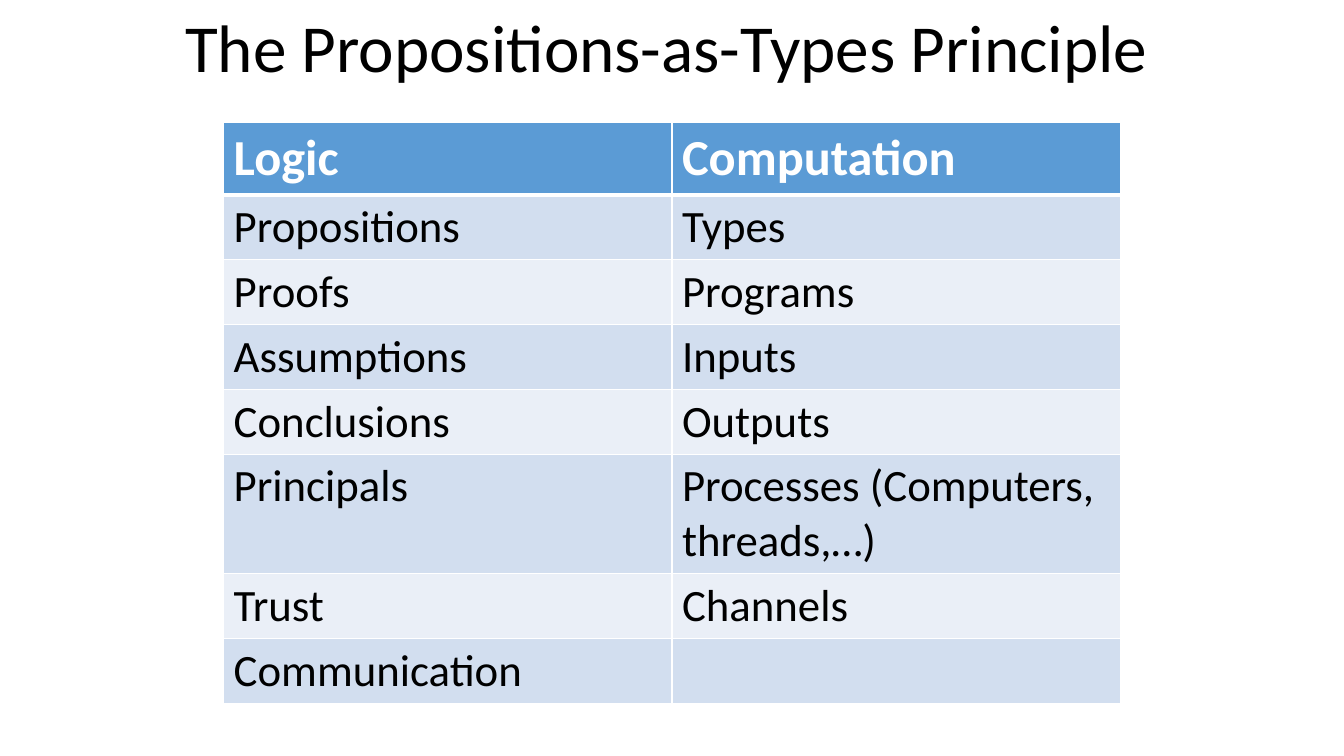
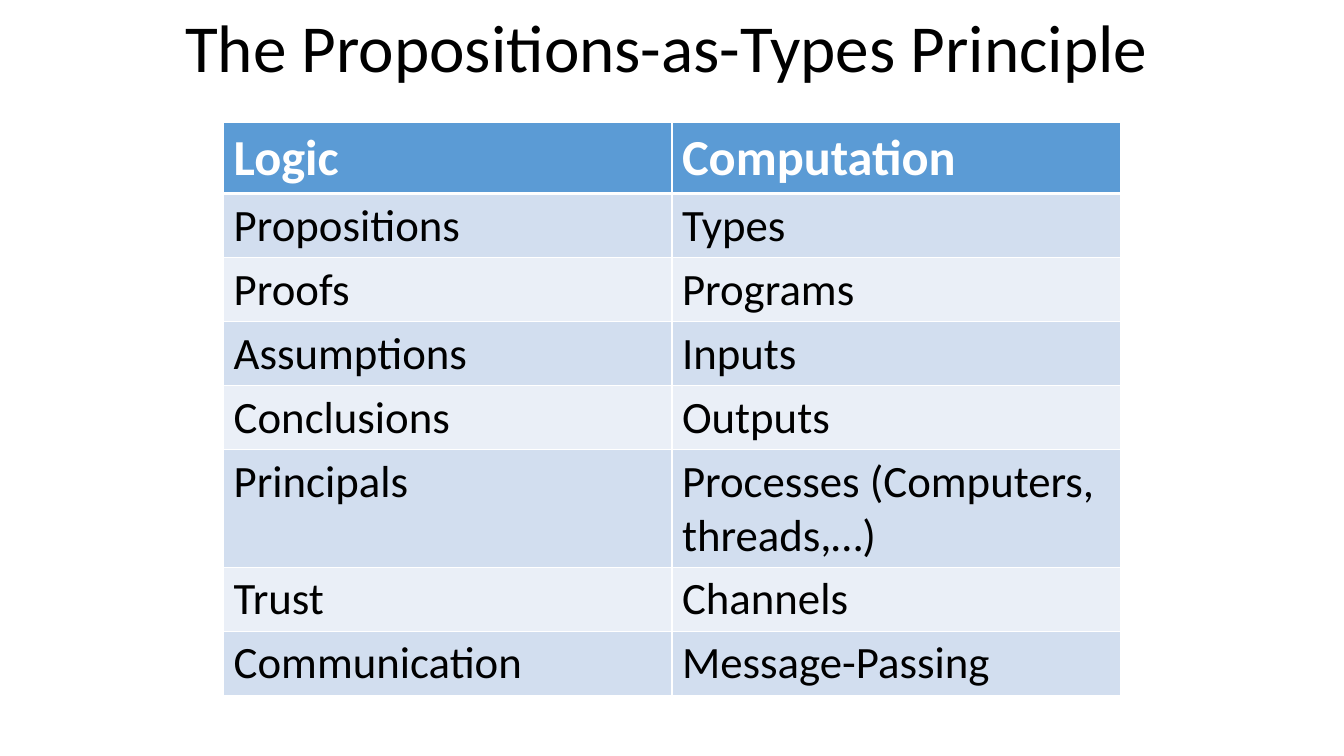
from dataclasses import dataclass

from lxml import etree
from pptx import Presentation
from pptx.dml.color import RGBColor
from pptx.enum.text import MSO_AUTO_SIZE
from pptx.oxml.ns import qn
from pptx.util import Emu, Pt

FIT_SHAPE = MSO_AUTO_SIZE.SHAPE_TO_FIT_TEXT
EMU_PER_PX = 9525
EMU_PER_POINT = 12700
BLANK_LAYOUT = 6

TITLE = "The Propositions-as-Types Principle"
HEADER = ("Logic", "Computation")
PAIRS = [
    ("Propositions", "Types"),
    ("Proofs", "Programs"),
    ("Assumptions", "Inputs"),
    ("Conclusions", "Outputs"),
    ("Principals", "Processes (Computers, threads,…)"),
    ("Trust", "Channels"),
]
COMMUNICATION_STEPS = ("", "Message-Passing")
ROW_HEIGHTS = [66, 61, 61, 61, 61, 112, 61, 61]


@dataclass(frozen=True)
class Theme:
    """Colours, font, type sizes and rule widths shared by the slides."""
    font: str = "Calibri"
    ink: str = "000000"
    white: str = "FFFFFF"
    header_fill: str = "5B9BD5"
    band_fills: tuple = ("D2DEEF", "EAEFF7")
    title_size: int = 48
    header_size: int = 36
    body_size: int = 32
    thin_rule: int = 1
    thick_rule: int = 3


def px(length):
    """Turn whole pixels into EMU."""
    return Emu(length * EMU_PER_PX)


def write_text(frame, text, *, font, size, color, bold=False):
    """Write one formatted run into a text frame."""
    run = frame.paragraphs[0].add_run()
    run.text = text
    run.font.name = font
    run.font.size = Pt(size)
    run.font.bold = bold
    run.font.color.rgb = RGBColor.from_string(color)


def set_borders(cell, color, **widths):
    """Give a cell solid borders, with widths in points by side."""
    properties = cell._tc.get_or_add_tcPr()
    for index, side in enumerate(("L", "R", "T", "B")):
        line = etree.Element(qn(f"a:ln{side}"), w=str(widths[side] * EMU_PER_POINT))
        fill = etree.SubElement(line, qn("a:solidFill"))
        etree.SubElement(fill, qn("a:srgbClr"), val=color)
        properties.insert(index, line)


class Deck:
    """Presentation with its style and current slide."""

    def __init__(self, theme, width, height):
        """Start an empty presentation of the given size."""
        self.theme = theme
        self.presentation = Presentation()
        self.presentation.slide_width = px(width)
        self.presentation.slide_height = px(height)
        self.slide = None

    def add_slide(self):
        """Make a new blank slide the current one."""
        layout = self.presentation.slide_layouts[BLANK_LAYOUT]
        self.slide = self.presentation.slides.add_slide(layout)

    def add_title(self, text, left, top, width, height):
        """Add the one-line slide title."""
        shape = self.slide.shapes.add_textbox(px(left), px(top), px(width), px(height))
        frame = shape.text_frame
        frame.word_wrap = False
        frame.auto_size = FIT_SHAPE
        write_text(frame, text, font=self.theme.font, size=self.theme.title_size,
                   color=self.theme.ink)

    def add_table(self, rows, left, top, column_width, row_heights):
        """Add a banded table whose first row is its header."""
        column_count = len(rows[0])
        shape = self.slide.shapes.add_table(
            len(rows), column_count, px(left), px(top),
            px(column_width * column_count), px(sum(row_heights)))
        table = shape.table
        table.horz_banding = False
        for column in table.columns:
            column.width = px(column_width)
        for row_index, texts in enumerate(rows):
            table.rows[row_index].height = px(row_heights[row_index])
            for column_index, text in enumerate(texts):
                self.style_cell(table.cell(row_index, column_index), text, row_index)

    def style_cell(self, cell, text, row_index):
        """Fill, rule and write one table cell."""
        theme = self.theme
        is_header = row_index == 0
        fill = theme.header_fill if is_header else theme.band_fills[(row_index - 1) % 2]
        cell.fill.solid()
        cell.fill.fore_color.rgb = RGBColor.from_string(fill)
        set_borders(cell, theme.white, L=theme.thin_rule, R=theme.thin_rule,
                    T=theme.thick_rule if row_index == 1 else theme.thin_rule,
                    B=theme.thick_rule if is_header else theme.thin_rule)
        if text:
            write_text(cell.text_frame, text, font=theme.font, bold=is_header,
                       size=theme.header_size if is_header else theme.body_size,
                       color=theme.white if is_header else theme.ink)


def main():
    """Build the slides and save them."""
    deck = Deck(Theme(), 1280, 720)
    for answer in COMMUNICATION_STEPS:
        deck.add_slide()
        rows = [HEADER, *PAIRS, ("Communication", answer)]
        deck.add_table(rows, 213, 117, 427, ROW_HEIGHTS)
        deck.add_title(TITLE, 167, 0, 947, 87)
    deck.presentation.save("out.pptx")


if __name__ == "__main__":
    main()
